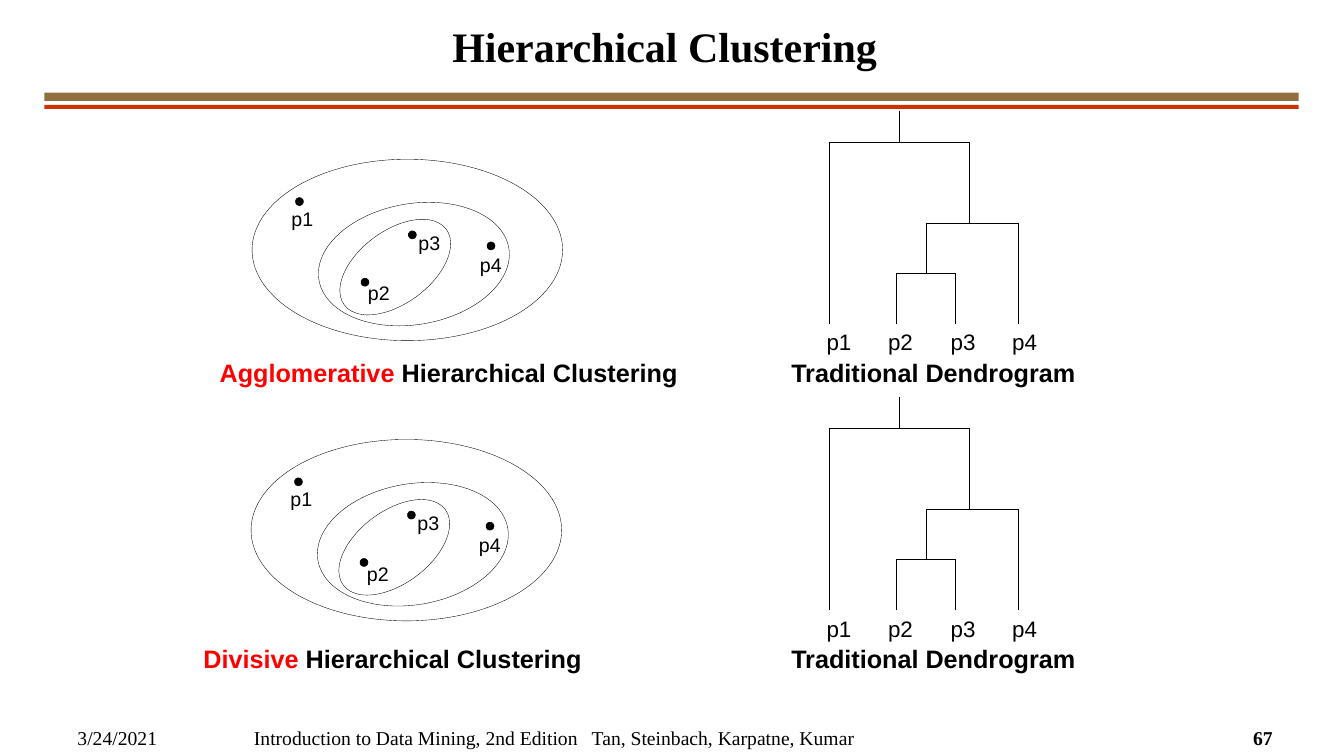
from math import cos, sin, tau

from lxml.etree import SubElement
from pptx import Presentation
from pptx.dml.color import RGBColor
from pptx.enum.shapes import MSO_CONNECTOR, MSO_SHAPE
from pptx.enum.text import MSO_ANCHOR, MSO_AUTO_SIZE, PP_ALIGN
from pptx.oxml.ns import qn
from pptx.util import Emu, Pt

BLACK, RED = "000000", "FF0000"
SERIF, SANS = "Times New Roman", "Arial"
HAIR = 0.25


def px(count):
    return Emu(round(count * 9144))


def tint(code):
    return RGBColor.from_string(code)


class Board:
    """Draws styled elements on the current slide."""

    def __init__(self, slide):
        self.slide = slide
        self.shapes = slide.shapes

    def style(self, run, size, font, color, bold):
        run.font.size = Pt(size)
        run.font.name = font
        run.font.bold = bold
        run.font.color.rgb = tint(color)

    def title(self, text, left, top, width, height):
        shape = self.shapes.title
        shape.left, shape.top = px(left), px(top)
        shape.width, shape.height = px(width), px(height)
        frame = shape.text_frame
        frame.text = text
        frame.auto_size = MSO_AUTO_SIZE.NONE
        frame.vertical_anchor = MSO_ANCHOR.BOTTOM
        para = frame.paragraphs[0]
        para.alignment = PP_ALIGN.CENTER
        para.line_spacing = Pt(36)
        self.style(para.runs[0], 30, SERIF, BLACK, True)

    def text(self, parts, left, top, width, height, size, font=SANS,
             bold=False, wrap=True, inset=True, tabs=()):
        box = self.shapes.add_textbox(px(left), px(top), px(width), px(height))
        frame = box.text_frame
        frame.word_wrap = wrap
        frame.auto_size = MSO_AUTO_SIZE.SHAPE_TO_FIT_TEXT
        if not inset:
            frame.margin_left = frame.margin_right = 0
            frame.margin_top = frame.margin_bottom = 0
        para = frame.paragraphs[0]
        if tabs:
            stops = SubElement(para._p.get_or_add_pPr(), qn("a:tabLst"))
            for stop in tabs:
                SubElement(stops, qn("a:tab"), pos=str(px(stop)), algn="l")
        for words, color in parts:
            run = para.add_run()
            run.text = words
            self.style(run, size, font, color, bold)

    def bar(self, left, top, width, height, color):
        shape = self.shapes.add_shape(
            MSO_SHAPE.RECTANGLE, px(left), px(top), px(width), px(height))
        shape.shadow.inherit = False
        shape.fill.solid()
        shape.fill.fore_color.rgb = tint(color)
        shape.line.fill.background()

    def ring(self, left, top, width, height, turn):
        shape = self.shapes.add_shape(
            MSO_SHAPE.OVAL, px(left), px(top), px(width), px(height))
        shape.rotation = turn
        shape.shadow.inherit = False
        shape.fill.background()
        shape.line.color.rgb = tint(BLACK)
        shape.line.width = Pt(HAIR)

    def dot(self, x, y, radius=4, sides=11):
        spots = [(px(x + radius * cos(tau * k / sides)),
                  px(y + radius * sin(tau * k / sides))) for k in range(sides)]
        path = self.shapes.build_freeform(*spots[0])
        path.add_line_segments(spots[1:], close=True)
        shape = path.convert_to_shape()
        shape.shadow.inherit = False
        shape.fill.solid()
        shape.fill.fore_color.rgb = tint(BLACK)
        shape.line.color.rgb = tint(BLACK)
        shape.line.width = Pt(0.38)

    def line(self, x1, y1, x2, y2):
        link = self.shapes.add_connector(
            MSO_CONNECTOR.STRAIGHT, px(x1), px(y1), px(x2), px(y2))
        link.line.color.rgb = tint(BLACK)
        link.line.width = Pt(HAIR)
        SubElement(link._element.spPr, qn("a:effectLst"))


POINTS = [
    ("p1", 297, 200, 289, 205, 22, False),
    ("p2", 362, 280, 365, 279, 26, True),
    ("p3", 409, 233, 415, 229, 22, False),
    ("p4", 487, 244, 476, 251, 22, False),
]
RINGS = [(356, 202, 72, 126, 53.4), (315, 202, 191, 120, 350.4),
         (250, 158, 308, 180, 0)]
MERGES = [(889, 947, 271, 321, 321), (919, 1010, 221, 271, 321),
          (822, 961, 141, 321, 221)]


def nest(board, dx, dy):
    for left, top, width, height, turn in RINGS:
        board.ring(left + dx, top + dy, width, height, turn)
    for name, x, y, left, top, width, wrap in POINTS:
        board.dot(x + dx, y + dy)
        board.text([(name, BLACK)], left + dx, top + dy, width, 24, 14,
                   wrap=wrap, inset=False)


def tree(board, dy):
    for left, right, top, foot1, foot2 in MERGES:
        board.line(left, top + dy, right, top + dy)
        board.line(left, top + dy, left, foot1 + dy)
        board.line(right, top + dy, right, foot2 + dy)
    board.line(892, 110 + dy, 892, 141 + dy)
    names = "\t".join(point[0] for point in POINTS)
    board.text([(names, BLACK)], 810, 321 + dy, 233, 37, 16,
               tabs=(61, 123, 184))


def main():
    deck = Presentation()
    deck.slide_width, deck.slide_height = px(1333), px(750)
    board = Board(deck.slides.add_slide(deck.slide_layouts[5]))
    board.bar(44, 92, 1244, 8, "916F40")
    board.bar(44, 104, 1244, 4, "CC3300")
    board.title("Hierarchical Clustering", 56, 17, 1207, 58)

    rows = [("Agglomerative", 208, 350, 0, 0, 0),
            ("Divisive", 192, 633, -1, 278, 284)]
    for kind, left, top, dx, drop, fall in rows:
        nest(board, dx, drop)
        tree(board, fall)
        board.text([(kind, RED), (" Hierarchical Clustering", BLACK)],
                   left, top, 483, 40, 18, bold=True)
        board.text([("Traditional Dendrogram", BLACK)],
                   775, top, 367, 40, 18, bold=True)

    board.text([("3/24/2021", BLACK)], 67, 715, 178, 34, 14, SERIF)
    board.text([("Introduction to Data Mining, 2nd Edition\t"
                 "Tan, Steinbach, Karpatne, Kumar", BLACK)],
               242, 715, 711, 34, 14, SERIF, tabs=(335,))
    board.text([("67", BLACK)], 1233, 715, 44, 34, 14, SERIF,
               bold=True, wrap=False)
    deck.save("out.pptx")


if __name__ == "__main__":
    main()
